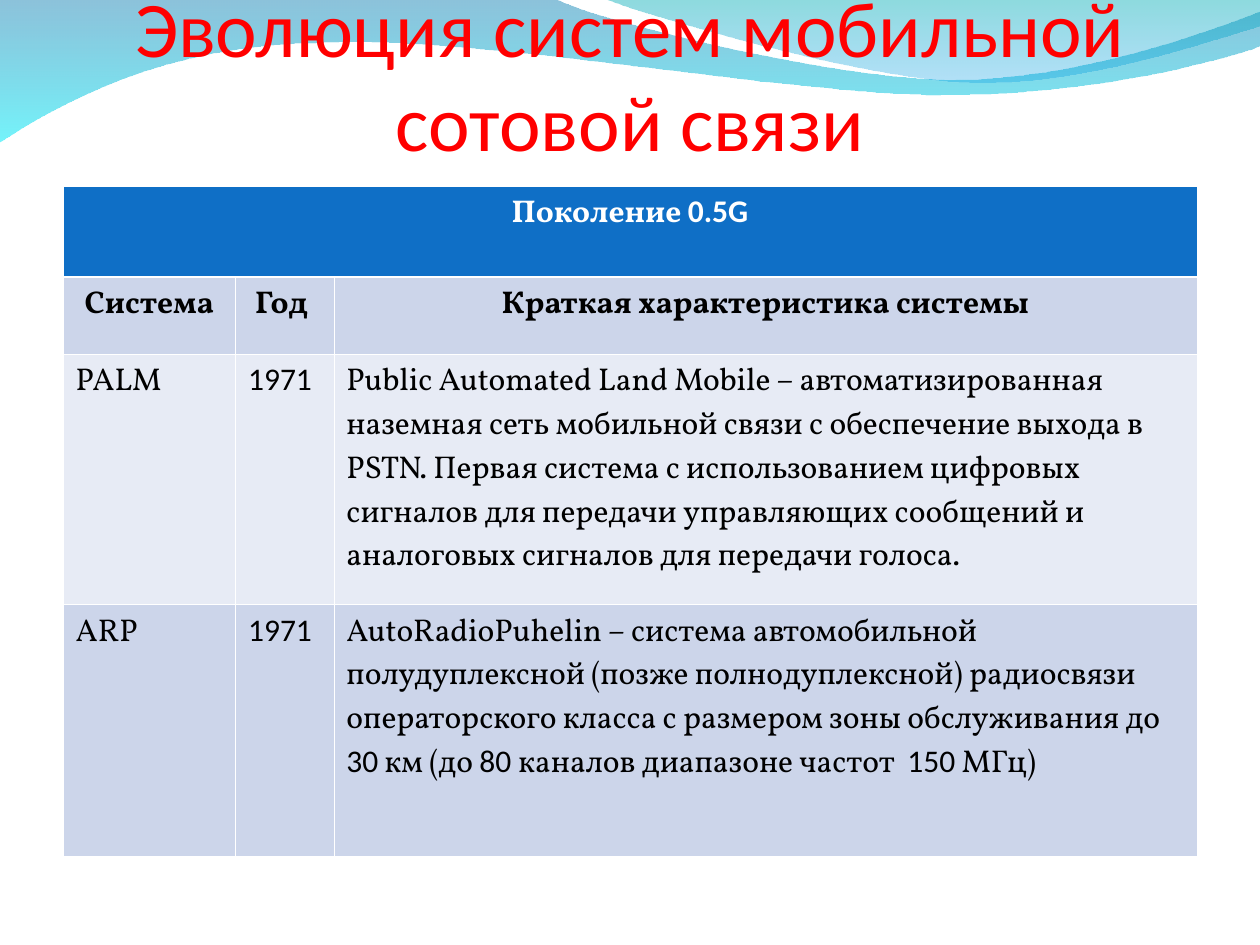
from lxml import etree
from pptx import Presentation
from pptx.dml.color import RGBColor
from pptx.enum.text import MSO_ANCHOR, MSO_AUTO_SIZE, PP_ALIGN
from pptx.oxml.ns import qn
from pptx.util import Inches, Pt

COLORS = {
    "title": "FF0000", "header": "0F6FC6", "band": "CCD5EA", "light": "E7EBF5",
    "white": "FFFFFF", "text": "000000",
    "deep blue": "0079AF", "cyan": "00EBF8", "teal": "00ADB6", "sky": "009BE5",
}
SERIF, SANS = "Vollkorn", "Calibri"

TITLE = "Эволюция систем мобильной сотовой связи"

# Each cell lists its runs, alternating between the serif and the sans font.
HEADING = ("Поколение ", "0.5G")
COLUMN_NAMES = [("Система",), ("Год ",), ("Краткая характеристика системы",)]
SYSTEMS = [
    [("PALM",), ("", "1971"),
     ("Public Automated Land Mobile – автоматизированная наземная сеть мобильной связи "
      "с обеспечение выхода в PSTN. Первая система с использованием цифровых сигналов "
      "для передачи управляющих сообщений и аналоговых сигналов для передачи голоса.",)],
    [("ARP",), ("", "1971"),
     ("AutoRadioPuhelin – система автомобильной полудуплексной (позже полнодуплексной) "
      "радиосвязи операторского класса с размером зоны обслуживания до ",
      "30", " км (до ", "80 ", "каналов диапазоне частот  ", "150", " МГц)")],
]
COLUMN_WIDTHS = [1.37, 0.78, 6.85]
ROW_HEIGHTS = [0.72, 0.61, 1.99, 2]
THIN, THICK = 0.45, 1.47

# A step of one point is a straight line, a step of three is a Bezier curve.
WAVES = [
    {"start": (0, -0.01),
     "steps": [[(4.4, -0.01)],
               [(4.76, 0.17), (6.64, 0.63), (7.58, 0.63)],
               [(8.53, 0.63), (9.58, 0.26), (10, 0.09)],
               [(10.01, 0.36)],
               [(9.83, 0.44), (8.7, 0.76), (7.46, 0.75)],
               [(6.22, 0.75), (3.82, 0.28), (2.57, 0.34)],
               [(1.29, 0.35), (0.46, 0.83), (-0.01, 1.13)]],
     "stops": [("deep blue", 45), ("cyan", 55)]},
    {"start": (4.79, -0.01),
     "steps": [[(5.09, 0.11), (6.82, 0.62), (7.69, 0.65)],
               [(8.56, 0.69), (9.61, 0.32), (10, 0.21)],
               [(10, 0)]],
     "stops": [("teal", 45), ("sky", 30)]},
]


def rgb(name):
    return RGBColor.from_string(COLORS[name])


def write(frame, runs, fonts=(SERIF, SANS), size=18, color="text", bold=False,
          align=PP_ALIGN.LEFT):
    """Fill the frame with one paragraph whose runs take the fonts in turn."""
    paragraph = frame.paragraphs[0]
    paragraph.alignment = align
    for index, words in enumerate(runs):
        if words:
            run = paragraph.add_run()
            run.text = words
            run.font.name = fonts[index % len(fonts)]
            run.font.size = Pt(size)
            run.font.bold = bold
            run.font.color.rgb = rgb(color)


def bend(shape, steps):
    """Turn the straight segments of three-point steps into Bezier curves."""
    segments = list(shape.element.iter(qn("a:lnTo")))
    for segment, step in zip(segments, steps):
        if len(step) == 3:
            curve = etree.Element(qn("a:cubicBezTo"))
            for x, y in step:
                etree.SubElement(curve, qn("a:pt"), x=str(Inches(x) - shape.left),
                                 y=str(Inches(y) - shape.top))
            segment.getparent().replace(segment, curve)


def add_wave(slide, start, steps, stops):
    builder = slide.shapes.build_freeform(*map(Inches, start))
    builder.add_line_segments([tuple(map(Inches, step[-1])) for step in steps])
    wave = builder.convert_to_shape()
    bend(wave, steps)
    wave.shadow.inherit = False
    wave.line.fill.background()
    wave.fill.gradient()
    wave.fill.gradient_angle = 270
    for stop, (color, _) in zip(wave.fill.gradient_stops, stops):
        stop.color.rgb = rgb(color)
    for position, (stop, (_, opacity)) in enumerate(zip(wave.fill.gradient_stops, stops)):
        stop.position = position
    tints = list(wave.element.spPr.iter(qn("a:srgbClr")))
    for tint, (_, opacity) in zip(tints, stops):
        etree.SubElement(tint, qn("a:alpha"), val=str(opacity * 1000))


def set_borders(cell, top, bottom):
    properties = cell._tc.get_or_add_tcPr()
    for side, width in (("L", THIN), ("R", THIN), ("T", top), ("B", bottom)):
        line = etree.SubElement(properties, qn(f"a:ln{side}"), w=str(Pt(width)))
        fill = etree.SubElement(line, qn("a:solidFill"))
        etree.SubElement(fill, qn("a:srgbClr"), val=COLORS["white"])


def add_systems_table(slide):
    rows = [[HEADING, (), ()], COLUMN_NAMES, *SYSTEMS]
    fills = ["header", "band", "light", "band"]
    table = slide.shapes.add_table(
        len(rows), len(COLUMN_WIDTHS), Inches(0.5), Inches(1.48),
        Inches(sum(COLUMN_WIDTHS)), Inches(sum(ROW_HEIGHTS))).table
    table.horz_banding = table.first_row = False
    for column, width in zip(table.columns, COLUMN_WIDTHS):
        column.width = Inches(width)
    for r, (row, height) in enumerate(zip(rows, ROW_HEIGHTS)):
        table.rows[r].height = Inches(height)
        is_head = r < 2
        for c, runs in enumerate(row):
            cell = table.cell(r, c)
            set_borders(cell, THICK if r == 1 else THIN, THICK if r == 0 else THIN)
            cell.fill.solid()
            cell.fill.fore_color.rgb = rgb(fills[r])
            write(cell.text_frame, runs, bold=is_head, color="white" if r == 0 else "text",
                  align=PP_ALIGN.CENTER if is_head else PP_ALIGN.LEFT)
    table.cell(0, 0).merge(table.cell(0, len(COLUMN_WIDTHS) - 1))


def add_title(slide):
    title = slide.shapes.title
    title.left, title.top, title.width, title.height = map(Inches, (0.5, 0.39, 9, 0.94))
    frame = title.text_frame
    frame.auto_size = MSO_AUTO_SIZE.NONE
    frame.word_wrap = True
    frame.vertical_anchor = MSO_ANCHOR.BOTTOM
    frame.margin_left = frame.margin_right = frame.margin_bottom = 0
    frame.margin_top = Inches(0.05)
    write(frame, [TITLE], fonts=(SANS,), size=45, color="title", align=PP_ALIGN.CENTER)
    # The title lies in front of the waves.
    slide.shapes._spTree.append(title.element)


def main():
    deck = Presentation()
    deck.slide_width, deck.slide_height = Inches(10), Inches(7.5)
    slide = deck.slides.add_slide(deck.slide_layouts[5])
    for wave in WAVES:
        add_wave(slide, **wave)
    add_title(slide)
    add_systems_table(slide)
    deck.save("out.pptx")


if __name__ == "__main__":
    main()
